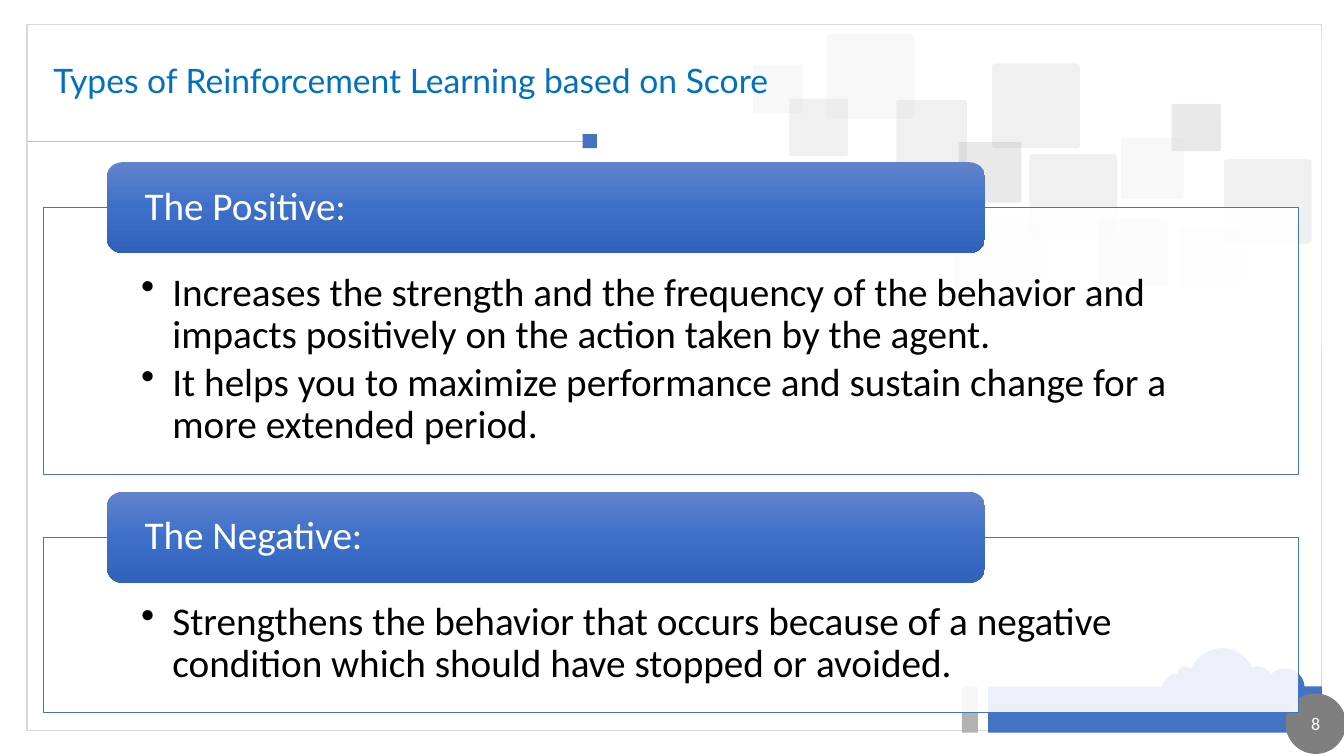
from copy import deepcopy

from lxml import etree
from pptx import Presentation
from pptx.dml.color import RGBColor
from pptx.enum import shapes, text
from pptx.oxml import ns
from pptx.util import Inches, Pt

COLORS = {
    "blue": "4472C4", "title": "0070C0", "white": "FFFFFF", "black": "000000",
    "silver": "B2B2B2", "gray": "7F7F7F", "frame": "D9D9D9", "rule": "BFBFBF",
}
HEADER_STOPS = [(0, "6183CB"), (0.5, "3E70CA"), (1, "3062BB")]

TITLE = "Types of Reinforcement Learning based on Score"
PAGE = "8"
SECTIONS = [
    ("The Positive:", 2.06, 2.65, [
        "Increases the strength and the frequency of the behavior and impacts positively on the action taken by the agent.",
        "It helps you to maximize performance and sustain change for a more extended period.",
    ]),
    ("The Negative:", 5.33, 1.74, [
        "Strengthens the behavior that occurs because of a negative condition which should have stopped or avoided.",
    ]),
]
TILES = [
    (8.2, 0.34, 0.87, 0.84, "silver", 16),
    (9.84, 0.63, 0.87, 0.84, "silver", 36),
    (9.46, 2.21, 0.87, 0.84, "silver", 36),
    (10.21, 1.53, 0.87, 0.84, "silver", 36),
    (8.89, 0.99, 0.7, 0.68, "silver", 36),
    (8.65, 1.88, 0.7, 0.68, "silver", 16),
    (9.51, 1.41, 0.62, 0.6, "black", 16),
    (11.62, 1.03, 0.49, 0.47, "black", 16),
    (11.12, 1.37, 0.62, 0.6, "silver", 16),
    (10.89, 2.17, 0.69, 0.67, "black", 16),
    (7.83, 0.98, 0.58, 0.57, "silver", 35),
    (7.47, 0.64, 0.49, 0.48, "silver", 16),
    (12.14, 1.58, 0.87, 0.84, "silver", 36),
    (11.7, 2.26, 0.61, 0.59, "silver", 36),
]
CLOUD = [(11.79, 6.43, 0.66), (11.52, 6.68, 0.33), (12.35, 6.61, 0.26),
         (12.55, 6.63, 0.39), (11.68, 6.61, 0.14)]

RECT = shapes.MSO_SHAPE.RECTANGLE
ROUND = shapes.MSO_SHAPE.ROUNDED_RECTANGLE
OVAL = shapes.MSO_SHAPE.OVAL
MIDDLE = text.MSO_ANCHOR.MIDDLE
TOP = text.MSO_ANCHOR.TOP
LEFT = text.PP_ALIGN.LEFT

deck = Presentation()
deck.slide_width, deck.slide_height = Inches(13.33), Inches(7.5)
slide = deck.slides.add_slide(deck.slide_layouts[6])


def rgb(name):
    return RGBColor.from_string(COLORS[name])


def add_block(kind, left, top, width, height, fill=None, alpha=100, line=None, weight=0.5):
    block = slide.shapes.add_shape(kind, *map(Inches, (left, top, width, height)))
    block.shadow.inherit = False
    if fill:
        block.fill.solid()
        block.fill.fore_color.rgb = rgb(fill)
        if alpha < 100:
            tint = block.fill._xPr.find(".//" + ns.qn("a:srgbClr"))
            etree.SubElement(tint, ns.qn("a:alpha"), val=str(alpha * 1000))
    else:
        block.fill.background()
    if line:
        block.line.color.rgb = rgb(line)
        block.line.width = Pt(weight)
    else:
        block.line.fill.background()
    return block


def write(shape, lines, size, color, font="Calibri", align=LEFT, anchor=MIDDLE,
          insets=(0.1, 0.05, 0.1, 0.05), spacing=0.9, after=0, bullet=False):
    frame = shape.text_frame
    frame.word_wrap = True
    frame.vertical_anchor = anchor
    (frame.margin_left, frame.margin_top,
     frame.margin_right, frame.margin_bottom) = map(Inches, insets)
    for i, line in enumerate(lines):
        para = frame.add_paragraph() if i else frame.paragraphs[0]
        para.text = line
        para.alignment = align
        para.line_spacing = spacing
        para.space_after = Pt(after)
        para.font.size, para.font.name = Pt(size), font
        para.font.color.rgb = rgb(color)
        if bullet:
            props = para._p.get_or_add_pPr()
            props.set("marL", str(Inches(0.31)))
            props.set("indent", str(-Inches(0.31)))
            mark = etree.Element(ns.qn("a:buChar"), char="•")
            props.find(ns.qn("a:defRPr")).addprevious(mark)


def shade(shape):
    shape.fill.gradient()
    shape.fill.gradient_angle = 270
    first = shape.fill.gradient_stops[0]._gs
    first.addnext(deepcopy(first))
    for stop, (position, color) in zip(shape.fill.gradient_stops, HEADER_STOPS):
        stop.position = position
        stop.color.rgb = RGBColor.from_string(color)


add_block(RECT, 0.27, 0.24, 12.84, 7.01, line="frame", weight=1)
add_block(RECT, 9.8, 6.81, 3.31, 0.46, "blue")
add_block(RECT, 9.54, 6.81, 0.16, 0.46, "silver")

rule = slide.shapes.add_connector(
    shapes.MSO_CONNECTOR.STRAIGHT, *map(Inches, (0.27, 1.4, 5.78, 1.4)))
rule.line.color.rgb = rgb("rule")
rule.line.width = Pt(0.5)
etree.SubElement(rule._element.spPr, ns.qn("a:effectLst"))
add_block(RECT, 5.78, 1.33, 0.14, 0.14, "blue")

for *place, color, alpha in TILES:
    add_block(ROUND, *place, color, alpha).adjustments[0] = 0.038
add_block(RECT, 7.12, 0.33, 5.99, 3.14, "white", 48)

for left, top, size in CLOUD:
    add_block(OVAL, left, top, size, size, "blue")

badge = add_block(OVAL, 12.75, 6.88, 0.6, 0.6, "gray")
write(badge, [PAGE], 12.8, "white", align=text.PP_ALIGN.CENTER,
      insets=(0, 0, 0, 0), spacing=1, after=6)

heading = slide.shapes.add_textbox(*map(Inches, (0.43, 0.4, 12.45, 0.84)))
write(heading, [TITLE], 24, "title", font="Lato")

for label, top, height, points in SECTIONS:
    panel = add_block(RECT, 0.43, top, 12.45, height, "white", 90, "blue")
    write(panel, points, 28, "black", anchor=TOP,
          insets=(0.97, 0.64, 0.97, 0.22), after=4.2, bullet=True)
    header = add_block(ROUND, 1.06, top - 0.45, 8.71, 0.9)
    shade(header)
    write(header, [label], 28, "white", insets=(0.33, 0, 0.33, 0))

deck.save("out.pptx")
